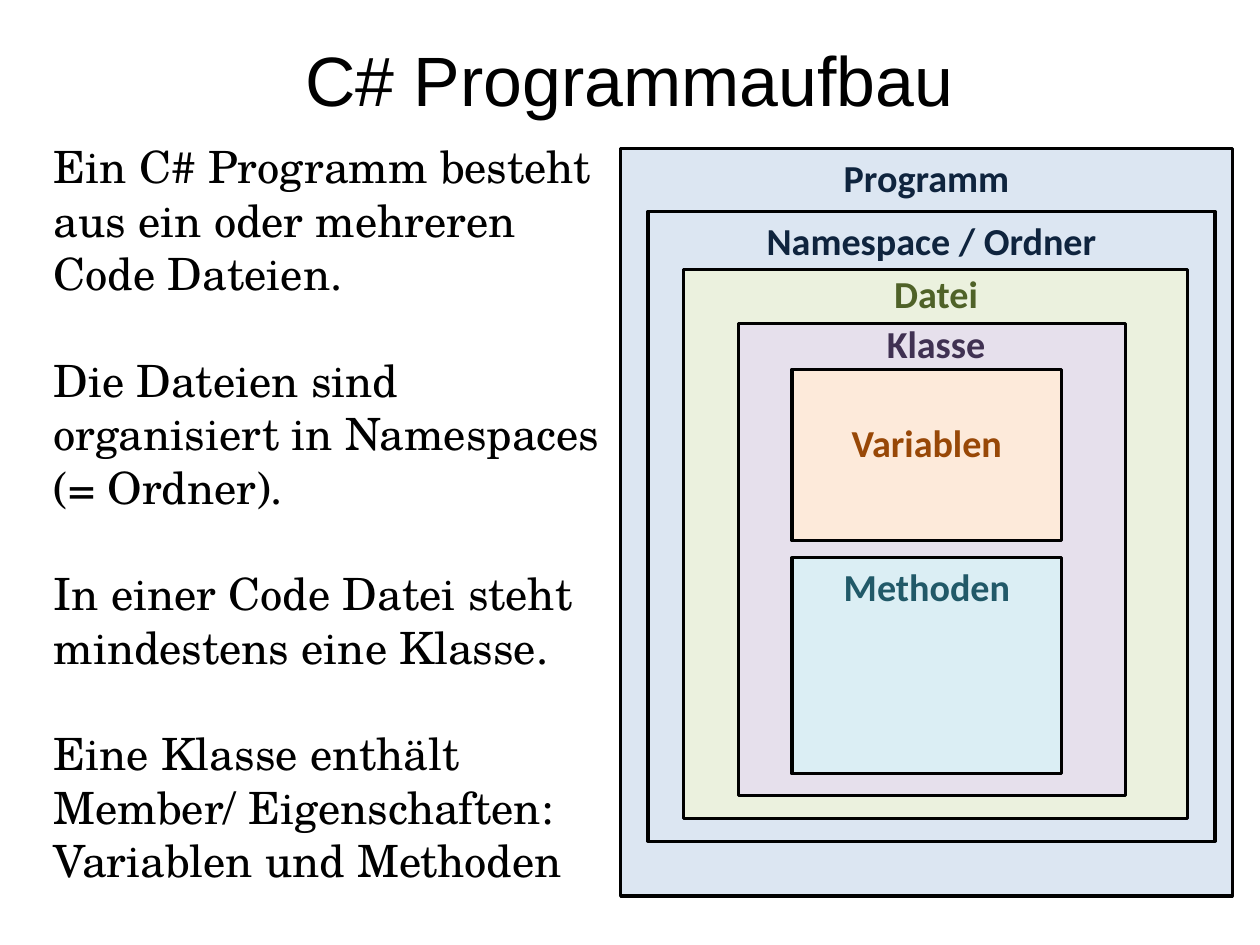
from dataclasses import dataclass

from pptx import Presentation
from pptx.dml.color import RGBColor
from pptx.enum.shapes import MSO_SHAPE
from pptx.enum.text import MSO_ANCHOR, PP_ALIGN
from pptx.util import Inches, Pt


@dataclass(frozen=True)
class Theme:
    title_font: str = "Arial"
    body_font: str = "TeX Gyre Schola"
    label_font: str = "Calibri"
    title_size: float = 44
    body_size: float = 28
    label_size: float = 24
    paragraph_gap: float = 33.6
    line_width: float = 2
    black: str = "000000"
    blue: str = "DCE6F2"
    navy: str = "0F243E"
    green: str = "EBF1DE"
    dark_green: str = "4F6228"
    purple: str = "E6E0EC"
    dark_purple: str = "403152"
    orange: str = "FDEADA"
    dark_orange: str = "984807"
    teal: str = "DBEEF4"
    dark_teal: str = "215968"


def apply_format(target, values):
    for name, value in values.items():
        setattr(target, name, value)


class SlideBuilder:
    def __init__(self, slide, theme):
        self.slide = slide
        self.theme = theme

    def text(self, place, paragraphs, font, size, color, bold=False,
             alignment=PP_ALIGN.CENTER, anchor=MSO_ANCHOR.TOP, margins=(0, 0)):
        box = self.slide.shapes.add_textbox(*map(Inches, place))
        frame = box.text_frame
        side, end = map(Inches, margins)
        apply_format(frame, {
            "word_wrap": True, "vertical_anchor": anchor,
            "margin_left": side, "margin_right": side,
            "margin_top": end, "margin_bottom": end,
        })
        for index, content in enumerate(paragraphs):
            paragraph = frame.add_paragraph() if index else frame.paragraphs[0]
            gap = self.theme.paragraph_gap if index else 0
            apply_format(paragraph, {
                "text": content, "alignment": alignment, "space_before": Pt(gap),
            })
            apply_format(paragraph.font, {"name": font, "size": Pt(size), "bold": bold})
            paragraph.font.color.rgb = RGBColor.from_string(color)

    def title(self, place, content):
        theme = self.theme
        self.text(place, [content], theme.title_font, theme.title_size, theme.black,
                  anchor=MSO_ANCHOR.MIDDLE)

    def body(self, place, paragraphs):
        theme = self.theme
        self.text(place, paragraphs, theme.body_font, theme.body_size, theme.black,
                  alignment=PP_ALIGN.LEFT)

    def label(self, left, top, width, content, color):
        theme = self.theme
        self.text((left, top, width, 0.5), [content], theme.label_font,
                  theme.label_size, color, bold=True, margins=(0.1, 0.05))

    def box(self, place, color):
        shape = self.slide.shapes.add_shape(MSO_SHAPE.RECTANGLE, *map(Inches, place))
        shape.shadow.inherit = False
        shape.fill.solid()
        shape.fill.fore_color.rgb = RGBColor.from_string(color)
        shape.line.color.rgb = RGBColor.from_string(self.theme.black)
        shape.line.width = Pt(self.theme.line_width)


def main():
    theme = Theme()
    presentation = Presentation()
    presentation.slide_width = Inches(28 / 2.54)
    presentation.slide_height = Inches(21 / 2.54)
    slide = presentation.slides.add_slide(presentation.slide_layouts[6])
    builder = SlideBuilder(slide, theme)

    builder.title((0.55, 0, 9.92, 1.38), "C# Programmaufbau")
    builder.body((0.47, 1.22, 4.81, 6.69), [
        "Ein C# Programm besteht aus ein oder mehreren Code Dateien.",
        "Die Dateien sind organisiert in Namespaces (= Ordner).",
        "In einer Code Datei steht mindestens eine Klasse.",
        "Eine Klasse enthält Member/ Eigenschaften: Variablen und Methoden",
    ])

    boxes = [
        ((5.43, 1.3, 5.35, 6.54), theme.blue),
        ((5.67, 1.85, 4.96, 5.51), theme.blue),
        ((5.98, 2.36, 4.41, 4.8), theme.green),
        ((6.46, 2.83, 3.39, 4.13), theme.purple),
        ((6.93, 4.88, 2.36, 1.89), theme.teal),
        ((6.93, 3.23, 2.36, 1.5), theme.orange),
    ]
    for place, color in boxes:
        builder.box(place, color)

    labels = [
        (5.43, 1.3, 5.35, "Programm", theme.navy),
        (5.67, 1.85, 4.96, "Namespace / Ordner", theme.navy),
        (7.01, 2.32, 2.36, "Datei", theme.dark_green),
        (7.01, 2.75, 2.36, "Klasse", theme.dark_purple),
        (6.93, 3.62, 2.36, "Variablen", theme.dark_orange),
        (6.93, 4.88, 2.36, "Methoden", theme.dark_teal),
    ]
    for label in labels:
        builder.label(*label)

    presentation.save("out.pptx")


if __name__ == "__main__":
    main()
